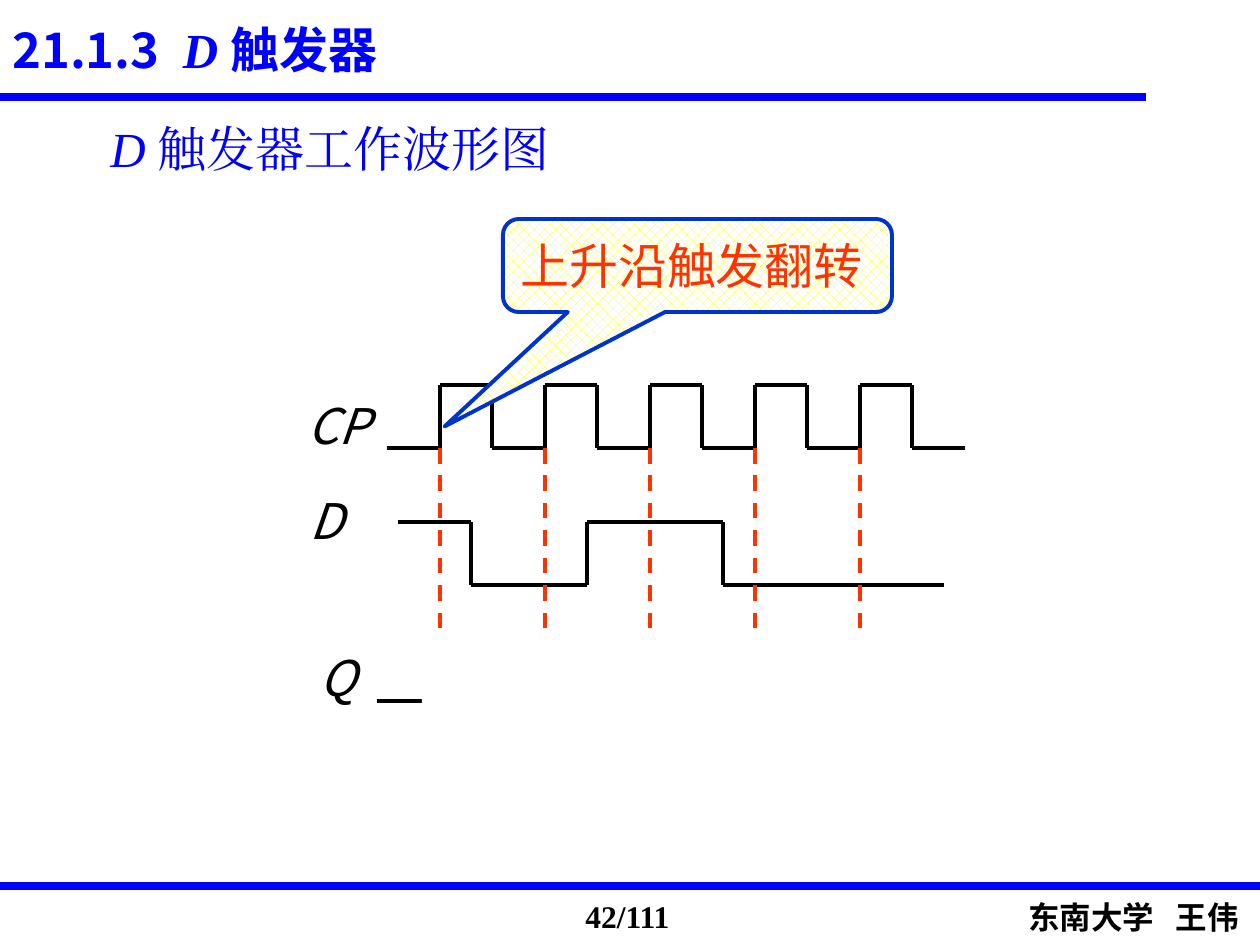
from dataclasses import dataclass

from lxml import etree
from pptx import Presentation
from pptx.dml.color import RGBColor
from pptx.enum import dml, shapes, text
from pptx.oxml.ns import qn
from pptx.util import Pt

PX = 914400 // 126  # EMU per pixel


@dataclass(frozen=True)
class Theme:
    blue: str = "0000FF"
    black: str = "000000"
    red: str = "FF3300"
    white: str = "FFFFFF"
    yellow: str = "FFFF00"
    outline: str = "0033CC"
    sans: str = "Noto Sans CJK SC"
    serif: str = "Times New Roman"
    body: int = 28
    footer: int = 18
    rule: float = 5
    stroke: float = 2.25


def rgb(value):
    return RGBColor.from_string(value)


def add_run(paragraph, words, *, font, size, color, bold=False, italic=False):
    run = paragraph.add_run()
    run.text = words
    run.font.name, run.font.size = font, Pt(size)
    run.font.bold, run.font.italic = bold, italic
    run.font.color.rgb = rgb(color)
    east_asian = etree.SubElement(run.font._element, qn("a:ea"))
    east_asian.set("typeface", font)


class Board:
    def __init__(self, slide, theme):
        self.slide, self.theme = slide, theme

    def label(self, box, runs, align="LEFT", anchor="TOP", wrap=False, **style):
        """Each run is its words and the format that differs from style."""
        frame = self.slide.shapes.add_textbox(*(PX * n for n in box)).text_frame
        frame.word_wrap = wrap
        frame.vertical_anchor = getattr(text.MSO_ANCHOR, anchor)
        paragraph = frame.paragraphs[0]
        paragraph.alignment = getattr(text.PP_ALIGN, align)
        base = dict(font=self.theme.sans, size=self.theme.body, color=self.theme.black)
        for words, change in runs:
            add_run(paragraph, words, **{**base, **style, **change})

    def line(self, start, end, color, width, dashed=False):
        ends = (PX * n for n in (*start, *end))
        line = self.slide.shapes.add_connector(shapes.MSO_CONNECTOR.STRAIGHT, *ends)
        line.line.color.rgb = rgb(color)
        line.line.width = Pt(width)
        if dashed:
            line.line.dash_style = dml.MSO_LINE.DASH
        etree.SubElement(line._element.spPr, qn("a:effectLst"))

    def waveform(self, points):
        for start, end in zip(points, points[1:]):
            self.line(start, end, self.theme.black, self.theme.stroke)

    def callout(self, box, adjustments):
        kind = shapes.MSO_SHAPE.ROUNDED_RECTANGULAR_CALLOUT
        bubble = self.slide.shapes.add_shape(kind, *(PX * n for n in box))
        bubble.shadow.inherit = False
        for index, value in enumerate(adjustments):
            bubble.adjustments[index] = value
        bubble.fill.patterned()
        bubble.fill.pattern = dml.MSO_PATTERN.ERCENT_40  # the library's spelling
        bubble.fill.fore_color.rgb = rgb(self.theme.yellow)
        bubble.fill.back_color.rgb = rgb(self.theme.white)
        bubble.line.color.rgb = rgb(self.theme.outline)
        bubble.line.width = Pt(self.theme.stroke)

    def cover(self, box):
        panel = self.slide.shapes.add_shape(
            shapes.MSO_SHAPE.RECTANGLE, *(PX * n for n in box))
        panel.shadow.inherit = False
        panel.fill.solid()
        panel.fill.fore_color.rgb = rgb(self.theme.white)
        panel.line.fill.background()


theme = Theme()
deck = Presentation()
deck.slide_width, deck.slide_height = 1260 * PX, 945 * PX
board = Board(deck.slides.add_slide(deck.slide_layouts[6]), theme)

# Footer and rules
footer = dict(size=theme.footer, bold=True)
board.label((573, 891, 116, 50), [("42/111", {})], font=theme.serif, **footer)
board.label((1016, 892, 244, 50), [("东南大学   王伟", {})], **footer)
for right, y in ((1146, 97), (1260, 886)):
    board.line((0, y), (right, y), theme.blue, theme.rule)

# Subtitle
board.label((98, 112, 600, 72),
            [("D ", dict(italic=True)), ("触发器工作波形图", {})],
            anchor="MIDDLE", wrap=True, font=theme.serif, color=theme.blue)

# Clock: five pulses, one every 105 pixels
LOW, HIGH = 448, 385
rising_edges = [440 + 105 * pulse for pulse in range(5)]
clock = [(387, LOW)]
for x in rising_edges:
    clock += [(x, LOW), (x, HIGH), (x + 52, HIGH), (x + 52, LOW)]
board.waveform(clock + [(965, LOW)])

# Input D and the start of output Q
D_HIGH, D_LOW = 522, 585
board.waveform([(398, D_HIGH), (471, D_HIGH), (471, D_LOW), (587, D_LOW),
                (587, D_HIGH), (723, D_HIGH), (723, D_LOW), (944, D_LOW)])
board.waveform([(377, 701), (440, 701)])

# Signal names
for name, box, align in (("CP", (261, 389, 121, 72), "RIGHT"),
                         ("D", (294, 484, 64, 72), "CENTER"),
                         ("Q", (305, 641, 66, 72), "CENTER")):
    board.label(box, [(name, {})], align, "MIDDLE", italic=True)

# Rising edge markers
for x in rising_edges:
    board.line((x, LOW), (x, 711), theme.red, theme.stroke, dashed=True)

# Callout
board.callout((503, 219, 389, 93), (-0.65, 1.73, 0.17))
board.label((505, 229, 373, 72), [("上升沿触发翻转", {})],
            "CENTER", "MIDDLE", color=theme.red)

# Blank area for the answer on Q
board.cover((422, 631, 655, 100))

# Title
board.label((0, 13, 543, 105),
            [("21.1.3 ", {}),
             (" D ", dict(font=theme.serif, italic=True)),
             ("触发器", {})],
            wrap=True, color=theme.blue, bold=True)

deck.save("out.pptx")
